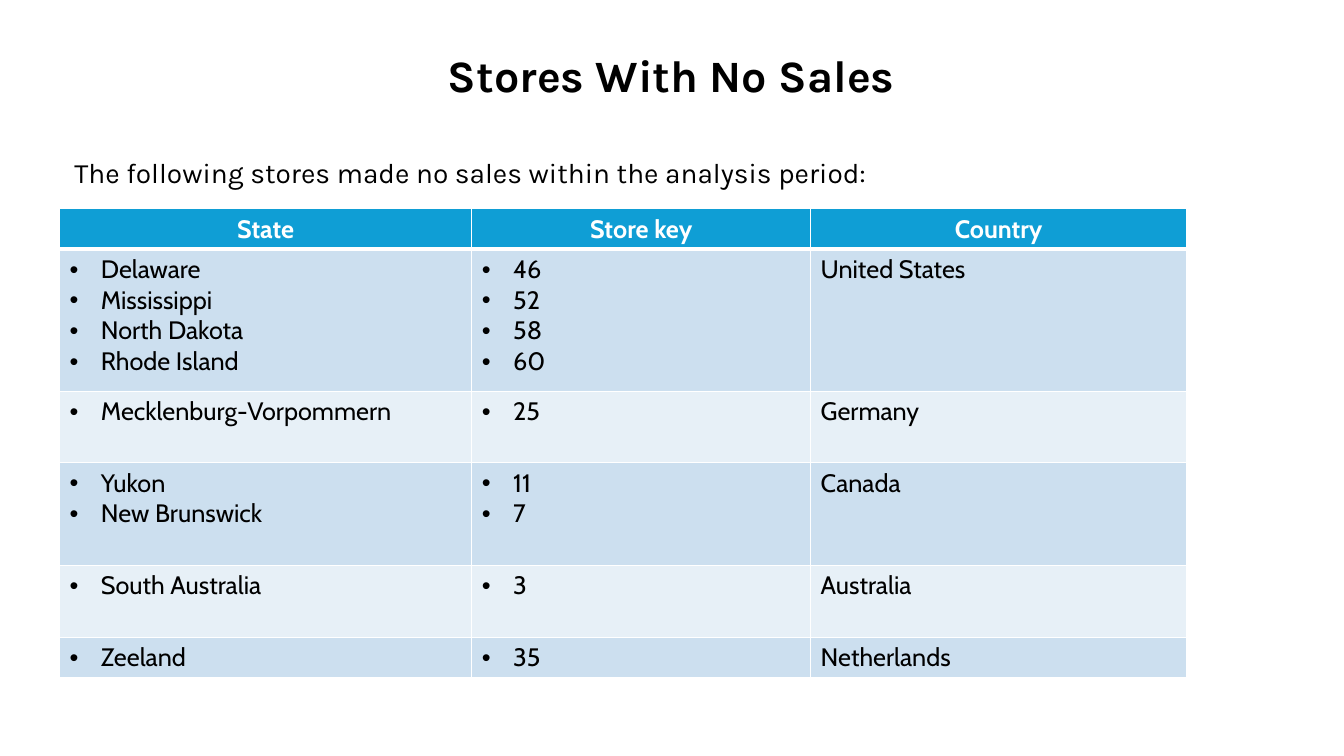
from lxml.etree import SubElement as Sub
from pptx import Presentation
from pptx.dml.color import RGBColor as Rgb
from pptx.enum.text import MSO_ANCHOR as Anchor, PP_ALIGN as Align
from pptx.oxml.ns import qn
from pptx.util import Inches, Pt

COLORS = {
    "ink": "000000",
    "white": "FFFFFF",
    "head": "0F9ED5",
    "odd": "CCDFEF",
    "even": "E7F0F7",
}
HEADS = ["State", "Store key", "Country"]
STORES = [
    (["Delaware", "Mississippi", "North Dakota", "Rhode Island"],
     ["46", "52", "58", "60"], "United States"),
    (["Mecklenburg-Vorpommern"], ["25"], "Germany"),
    (["Yukon", "New Brunswick"], ["11", "7"], "Canada"),
    (["South Australia"], ["3"], "Australia"),
    (["Zeeland"], ["35"], "Netherlands"),
]
WIDTHS = [30.68, 25.21, 27.98]
HEIGHTS = [5.2, 18.8, 9.47, 13.6, 9.47, 5.2]


class Page:
    title_font = "Karla"
    table_font = "Cabin"
    indent = Inches(0.31)

    def __init__(self, deck):
        self.wide, self.high = deck.slide_width, deck.slide_height
        self.slide = deck.slides.add_slide(deck.slide_layouts[6])

    def across(self, share):
        return round(self.wide * share / 100)

    def down(self, share):
        return round(self.high * share / 100)

    def style(self, para, font, size, color="ink", bold=False):
        for run in para.runs:
            run.font.name = font
            run.font.size = Pt(size)
            run.font.bold = bold
            run.font.color.rgb = Rgb.from_string(COLORS[color])

    def text(self, words, left, top, width, height, size, title=False):
        box = self.slide.shapes.add_textbox(
            self.across(left), self.down(top),
            self.across(width), self.down(height))
        frame = box.text_frame
        frame.word_wrap = True
        frame.text = words
        para = frame.paragraphs[0]
        if title:
            frame.vertical_anchor = Anchor.MIDDLE
            para.alignment = Align.CENTER
            para.line_spacing = 0.9
        self.style(para, self.title_font, size, bold=title)

    def bullet(self, para):
        props = para._p.get_or_add_pPr()
        props.set("marL", str(self.indent))
        props.set("indent", str(-self.indent))
        Sub(props, qn("a:buFont"), typeface="Arial")
        Sub(props, qn("a:buChar"), char="•")

    def border(self, cell, low):
        props = cell._tc.get_or_add_tcPr()
        for side in "LRTB":
            width = low if side == "B" else 1
            line = Sub(props, qn("a:ln" + side), w=str(Pt(width)))
            fill = Sub(line, qn("a:solidFill"))
            Sub(fill, qn("a:srgbClr"), val=COLORS["white"])

    def cell(self, cell, words, fill, head=False):
        self.border(cell, 3 if head else 1)
        cell.fill.solid()
        cell.fill.fore_color.rgb = Rgb.from_string(COLORS[fill])
        listed = isinstance(words, list)
        cell.text_frame.text = "\n".join(words) if listed else words
        for para in cell.text_frame.paragraphs:
            if listed:
                self.bullet(para)
            if head:
                para.alignment = Align.CENTER
            self.style(para, self.table_font, 18,
                       "white" if head else "ink", head)

    def table(self, rows, left, top):
        grid = self.slide.shapes.add_table(
            len(rows), len(WIDTHS), self.across(left), self.down(top),
            self.across(sum(WIDTHS)), self.down(sum(HEIGHTS))).table
        for col, width in zip(grid.columns, WIDTHS):
            col.width = self.across(width)
        for i, (row, height) in enumerate(zip(rows, HEIGHTS)):
            grid.rows[i].height = self.down(height)
            fill = "head" if i == 0 else "odd" if i % 2 else "even"
            for j, words in enumerate(row):
                self.cell(grid.cell(i, j), words, fill, i == 0)


def main():
    deck = Presentation()
    deck.slide_width, deck.slide_height = Inches(13.33), Inches(7.5)
    page = Page(deck)
    page.text("Stores With No Sales", 6.83, 0.67, 86.27, 19.33, 32, title=True)
    page.table([HEADS] + STORES, 4.43, 27.6)
    page.text("The following stores made no sales within the analysis period:",
              4.8, 19.87, 61.97, 5.87, 20)
    deck.save("out.pptx")


if __name__ == "__main__":
    main()
